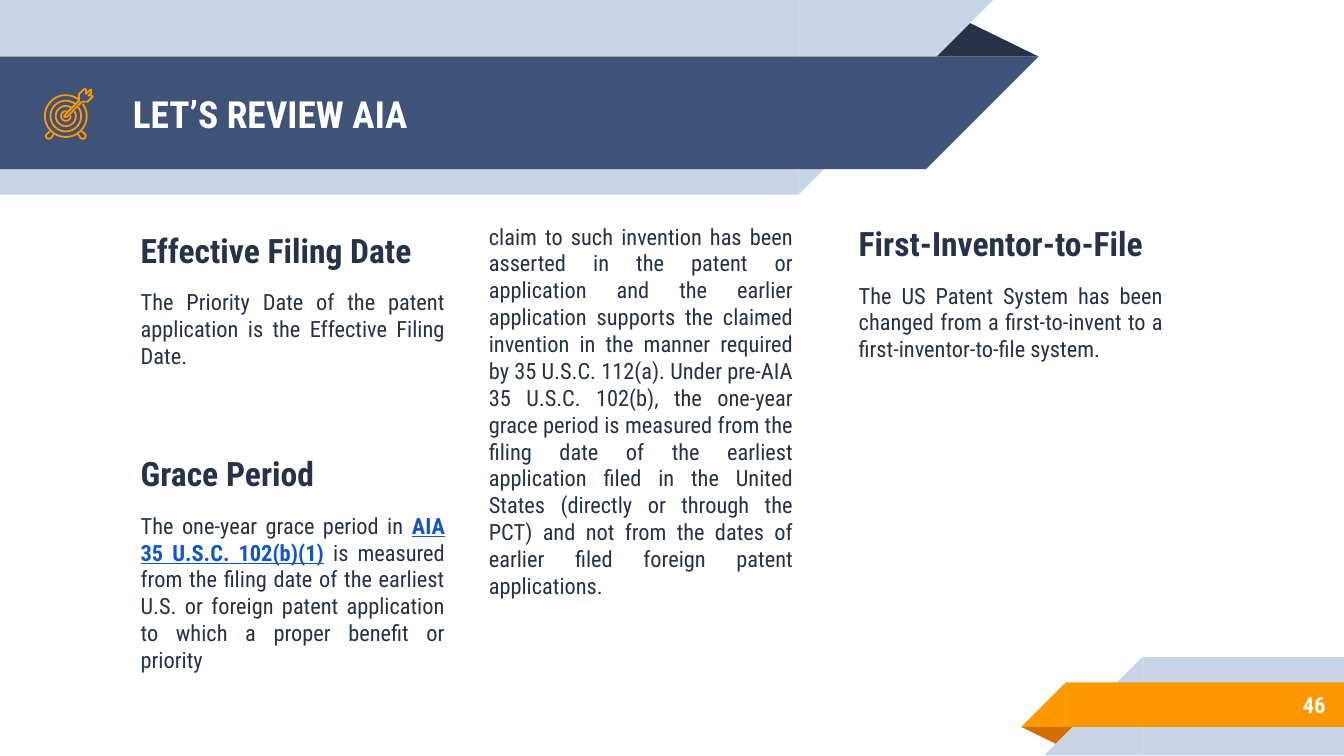
"""Build the AIA review slide with its folded ribbons and target icon."""
from math import cos, radians, sin

from pptx import Presentation
from pptx.dml.color import RGBColor
from pptx.enum.shapes import MSO_SHAPE
from pptx.enum.text import MSO_ANCHOR, PP_ALIGN
from pptx.util import Cm, Pt

RECTANGLE = MSO_SHAPE.RECTANGLE
RIGHT_TRIANGLE = MSO_SHAPE.RIGHT_TRIANGLE
TRIANGLE = MSO_SHAPE.ISOSCELES_TRIANGLE
TOP, MIDDLE = MSO_ANCHOR.TOP, MSO_ANCHOR.MIDDLE
LEFT, RIGHT, JUSTIFY = PP_ALIGN.LEFT, PP_ALIGN.RIGHT, PP_ALIGN.JUSTIFY

NAVY = RGBColor(0x26, 0x32, 0x48)
SLATE = RGBColor(0x3F, 0x53, 0x78)
MIST = RGBColor(0xC7, 0xD3, 0xE6)
ORANGE = RGBColor(0xFF, 0x98, 0x00)
RUST = RGBColor(0xD2, 0x6F, 0x00)
LINK_BLUE = RGBColor(0x11, 0x55, 0xCC)
WHITE = RGBColor(0xFF, 0xFF, 0xFF)

FONT = "Roboto Condensed"
SLIDE_WIDTH, SLIDE_HEIGHT = 25.4, 14.29
COLUMN_WIDTH, SECTION_HEIGHT = 6.25, 4.22
LEFT_COLUMN, MIDDLE_COLUMN, RIGHT_COLUMN = 2.41, 8.99, 15.98
COLUMN_TOP = 3.96

TARGET_CENTRE = (1.245, 2.195)
RING_GAPS = {0.395: (36, 54), 0.29: (36, 54), 0.19: (27, 58), 0.09: (9, 74)}
FOOT = [(-0.3, 0.29), (-0.36, 0.34), (-0.38, 0.38), (-0.36, 0.42),
        (-0.32, 0.43), (-0.28, 0.42), (-0.23, 0.34)]
DART = [(0.48, -0.39), (0.43, -0.39), (0.48, -0.44), (0.48, -0.5),
        (0.46, -0.5), (0.38, -0.42), (0.38, -0.5), (0.36, -0.52),
        (0.25, -0.42), (0.25, -0.29), (-0.03, -0.01), (-0.03, 0.02),
        (0.03, 0.01), (0.3, -0.27), (0.41, -0.27), (0.51, -0.37)]

FILING_DATE = ("The Priority Date of the patent application is the "
               "Effective Filing Date.")
GRACE_INTRO = "The one-year grace period in "
GRACE_STATUTE = "AIA 35 U.S.C. 102(b)(1)"
GRACE_RULE = (" is measured from the filing date of the earliest U.S. or "
              "foreign patent application to which a proper benefit or priority")
GRACE_CONTINUED = (
    "claim to such invention has been asserted in the patent or application "
    "and the earlier application supports the claimed invention in the manner "
    "required by 35 U.S.C. 112(a). Under pre-AIA 35 U.S.C. 102(b), the "
    "one-year grace period is measured from the filing date of the earliest "
    "application filed in the United States (directly or through the PCT) and "
    "not from the dates of earlier filed foreign patent applications.")
FIRST_INVENTOR = ("The US Patent System has been changed from a "
                  "first-to-invent to a first-inventor-to-file system.")


def add_filled(slide, kind, left, top, width, height, colour, rotation=0):
    """Add a borderless preset shape in one colour."""
    shape = slide.shapes.add_shape(kind, Cm(left), Cm(top), Cm(width), Cm(height))
    shape.shadow.inherit = False
    shape.fill.solid()
    shape.fill.fore_color.rgb = colour
    shape.line.fill.background()
    shape.rotation = rotation
    return shape


def add_fold(slide, left, top, width, height, colour, rotation=0):
    """Add the dark triangle that shows where a ribbon folds back."""
    fold = add_filled(slide, TRIANGLE, left, top, width, height, colour, rotation)
    fold.adjustments[0] = 0.324


def add_header_band(slide, top, width, height, colour):
    """Add a band from the left edge with a slanted right end."""
    add_filled(slide, RECTANGLE, 0, top, width, height, colour)
    add_filled(slide, RIGHT_TRIANGLE, width, top, height, height, colour, 90)


def add_footer_band(slide, top, width, height, colour):
    """Add a band to the right edge with a slanted left end."""
    start = SLIDE_WIDTH - width
    add_filled(slide, RECTANGLE, start, top, width, height, colour)
    add_filled(slide, RIGHT_TRIANGLE, start - height, top, height, height, colour, 270)


def add_outline(slide, offsets, close=False):
    """Draw an orange line through offsets from the target's centre."""
    centre_x, centre_y = TARGET_CENTRE
    points = [(Cm(centre_x + x), Cm(centre_y + y)) for x, y in offsets]
    builder = slide.shapes.build_freeform(*points[0], scale=1.0)
    builder.add_line_segments(points[1:], close=close)
    outline = builder.convert_to_shape()
    outline.shadow.inherit = False
    outline.fill.background()
    outline.line.color.rgb = ORANGE
    outline.line.width = Pt(0.96)


def add_target(slide):
    """Draw the target: open rings, two feet and a dart."""
    steps = 48
    for radius, (gap_start, gap_end) in RING_GAPS.items():
        sweep = 360 - (gap_end - gap_start)
        angles = [radians(gap_end + sweep * i / steps) for i in range(steps + 1)]
        add_outline(slide, [(radius * cos(a), -radius * sin(a)) for a in angles])
    add_outline(slide, FOOT)
    add_outline(slide, [(-x, y) for x, y in FOOT])
    add_outline(slide, DART, close=True)


def add_frame(slide, left, top, width, height, anchor=TOP):
    """Add a wrapping text box and return its text frame."""
    frame = slide.shapes.add_textbox(Cm(left), Cm(top), Cm(width), Cm(height)).text_frame
    frame.word_wrap = True
    frame.vertical_anchor = anchor
    frame.margin_left = frame.margin_right = Cm(0.25)
    frame.margin_top = frame.margin_bottom = Cm(0.25)
    return frame


def set_paragraph(paragraph, align, before=0, after=0):
    """Set the alignment and spacing of a paragraph and return it."""
    paragraph.alignment = align
    paragraph.space_before = Pt(before)
    paragraph.space_after = Pt(after)
    return paragraph


def add_text(paragraph, text, size=12, colour=NAVY, bold=False, underline=False):
    """Append formatted text to a paragraph."""
    run = paragraph.add_run()
    run.text = text
    run.font.name = FONT
    run.font.size = Pt(size)
    run.font.color.rgb = colour
    run.font.bold = bold
    run.font.underline = underline


def add_label(slide, text, box, align, size):
    """Add a bold white line of text on a ribbon."""
    frame = add_frame(slide, *box, anchor=MIDDLE)
    add_text(set_paragraph(frame.paragraphs[0], align), text,
             size=size, colour=WHITE, bold=True)


def add_section(slide, left, top, heading, text, after=0):
    """Add a heading with justified text and return the text's paragraph."""
    frame = add_frame(slide, left, top, COLUMN_WIDTH, SECTION_HEIGHT)
    add_text(set_paragraph(frame.paragraphs[0], LEFT, before=6), heading,
             size=18, bold=True)
    body = set_paragraph(frame.add_paragraph(), JUSTIFY, before=10, after=after)
    add_text(body, text)
    return body


def main():
    """Build and save the slide."""
    deck = Presentation()
    deck.slide_width, deck.slide_height = Cm(SLIDE_WIDTH), Cm(SLIDE_HEIGHT)
    slide = deck.slides.add_slide(deck.slide_layouts[6])

    add_fold(slide, 17.48, 0.36, 2.15, 0.71, NAVY)
    add_header_band(slide, 0, 15.09, 3.68, MIST)
    add_header_band(slide, 1.07, 17.5, 2.13, SLATE)
    add_fold(slide, 19.3, 13.74, 1.09, 0.36, RUST, rotation=180)
    add_footer_band(slide, 12.42, 3.81, 1.86, MIST)
    add_footer_band(slide, 12.9, 5.26, 0.84, ORANGE)

    add_label(slide, "LET’S REVIEW AIA", (2.26, 1.09, 14.61, 2.13), LEFT, 20)
    add_section(slide, LEFT_COLUMN, 4.09, "Effective Filing Date", FILING_DATE, after=10)
    add_section(slide, RIGHT_COLUMN, COLUMN_TOP, "First-Inventor-to-File", FIRST_INVENTOR)
    add_label(slide, "46", (21.16, 12.88, 4.14, 0.89), RIGHT, 12)
    grace = add_section(slide, LEFT_COLUMN, 8.31, "Grace Period", GRACE_INTRO, after=10)
    add_text(grace, GRACE_STATUTE, colour=LINK_BLUE, bold=True, underline=True)
    add_text(grace, GRACE_RULE)
    continued = add_frame(slide, MIDDLE_COLUMN, COLUMN_TOP, COLUMN_WIDTH, 9.73)
    add_text(set_paragraph(continued.paragraphs[0], JUSTIFY, before=6), GRACE_CONTINUED)
    add_target(slide)

    deck.save("out.pptx")


if __name__ == "__main__":
    main()
